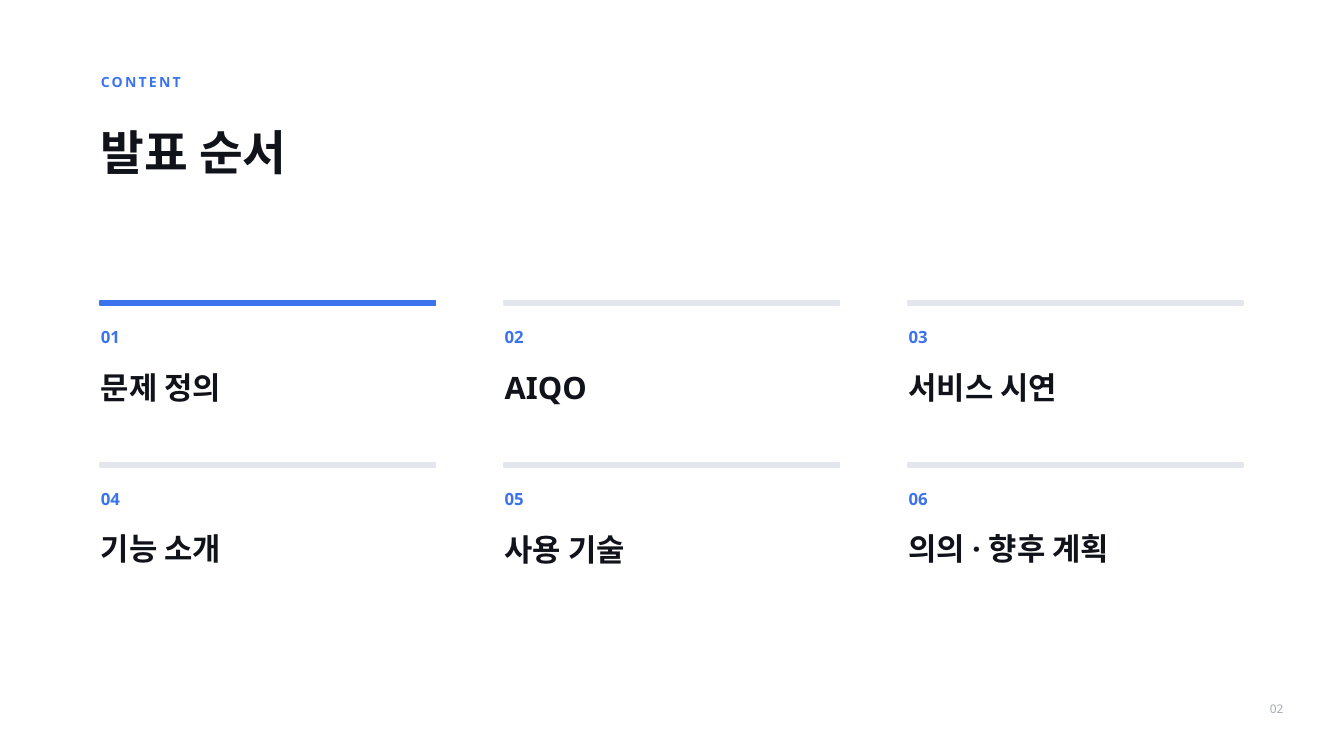
from pptx import Presentation
from pptx.dml.color import RGBColor
from pptx.enum.shapes import MSO_SHAPE as Shape
from pptx.enum.text import MSO_ANCHOR as Anchor, MSO_AUTO_SIZE as AutoSize, PP_ALIGN as Align
from pptx.util import Emu, Pt

EMU_PER_PX = 9144  # 100 px to the inch
FONT = "Noto Sans"
BLUE, INK, PALE, GREY = "3B73EE", "11131B", "E4E6EE", "A9ADB8"

COLUMNS = 3
FIRST_LEFT, FIRST_TOP = 150, 448
COLUMN_STEP, ROW_STEP = 601, 241

# Topic and height of its box
TOPICS = [
    ("문제 정의", 75), ("AIQO", 75), ("서비스 시연", 54),
    ("기능 소개", 54), ("사용 기술", 75), ("의의 · 향후 계획", 54),
]


def px(*lengths):
    return [Emu(length * EMU_PER_PX) for length in lengths]


def colour(hex_string):
    return RGBColor.from_string(hex_string)


def write(box, text, *, size, line, color=INK, bold=True, align=Align.LEFT,
          anchor=Anchor.TOP, spacing=None, grow=True):
    """Fill a text box or placeholder with one formatted line."""
    frame = box.text_frame
    frame.margin_left = frame.margin_top = frame.margin_right = frame.margin_bottom = 0
    frame.word_wrap = True
    frame.vertical_anchor = anchor
    frame.auto_size = AutoSize.SHAPE_TO_FIT_TEXT if grow else AutoSize.NONE
    paragraph = frame.paragraphs[0]
    paragraph.alignment = align
    paragraph.line_spacing = Pt(line)
    run = paragraph.add_run()
    run.text = text
    font = run.font
    font.name, font.size, font.bold = FONT, Pt(size), bold
    font.color.rgb = colour(color)
    if spacing:
        font._element.set("spc", str(round(spacing * 100)))


def add_label(slide, bounds, text, **style):
    write(slide.shapes.add_textbox(*px(*bounds)), text, **style)


def add_title(slide, bounds, text, **style):
    title = slide.shapes.title
    title.left, title.top, title.width, title.height = px(*bounds)
    write(title, text, **style)


def add_bar(slide, bounds, color):
    bar = slide.shapes.add_shape(Shape.RECTANGLE, *px(*bounds))
    bar.shadow.inherit = False
    bar.fill.solid()
    bar.fill.fore_color.rgb = colour(color)
    bar.line.color.rgb = colour(color)
    bar.line.width = Pt(1.5)


def add_topic(slide, index, topic, height):
    row, column = divmod(index, COLUMNS)
    left = FIRST_LEFT + column * COLUMN_STEP
    top = FIRST_TOP + row * ROW_STEP
    add_bar(slide, (left - 1, top, 499, 6), PALE if index else BLUE)
    add_label(slide, (left, top + 38, 150, 47), f"{index + 1:02}",
              size=18, line=21.6, color=BLUE)
    add_label(slide, (left, top + 100, 497, height), topic, size=33, line=39.6)


def main():
    deck = Presentation()
    deck.slide_width, deck.slide_height = px(2000, 1125)
    slide = deck.slides.add_slide(deck.slide_layouts[5])

    # Heading
    add_label(slide, (150, 109, 975, 42), "CONTENT",
              size=15, line=18, color=BLUE, spacing=2.4)
    add_title(slide, (150, 166, 1700, 141), "발표 순서", size=51, line=73.4)

    # Grid of topics
    for index, (topic, height) in enumerate(TOPICS):
        add_topic(slide, index, topic, height)

    # Page number
    add_label(slide, (1835, 1037, 75, 34), "02", size=12.8, line=15.3, color=GREY,
              bold=False, align=Align.RIGHT, anchor=Anchor.MIDDLE, grow=False)

    deck.save("out.pptx")


if __name__ == "__main__":
    main()
